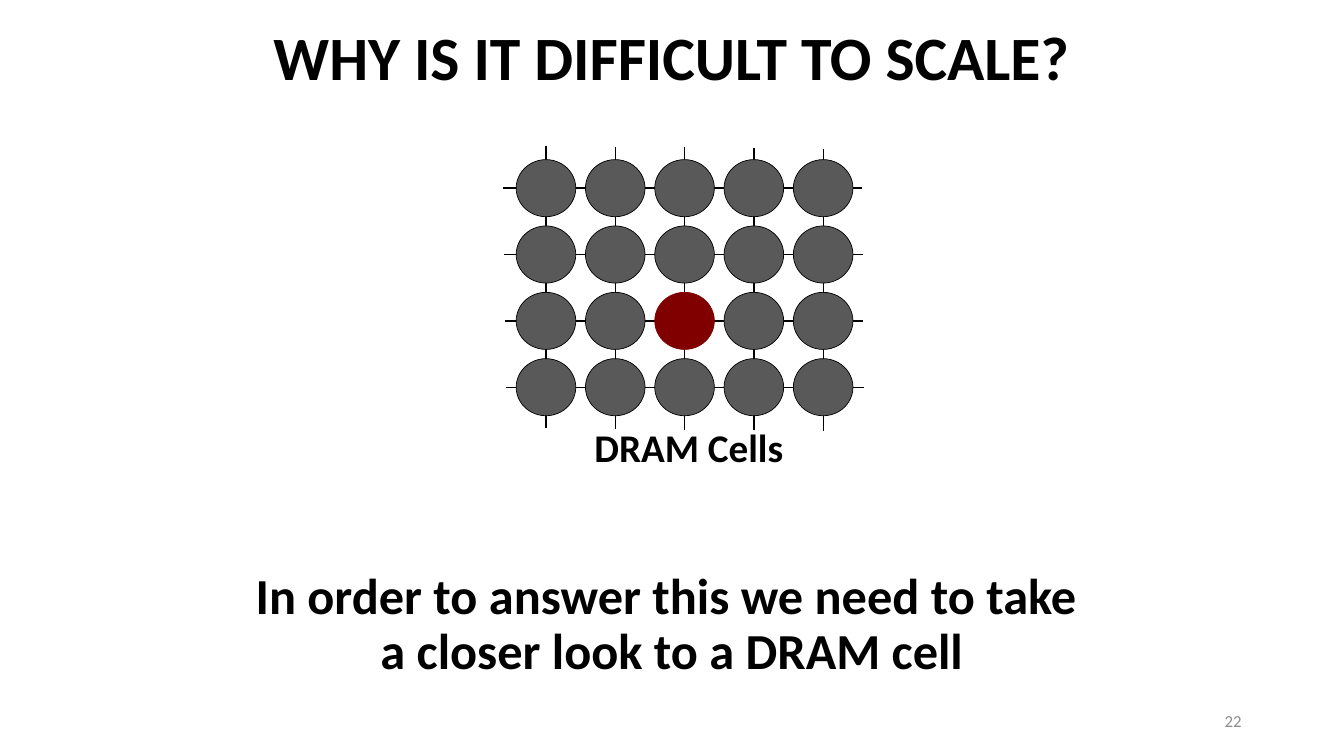
import dataclasses

import lxml.etree
import pptx
import pptx.dml.color
import pptx.enum.shapes
import pptx.enum.text
import pptx.oxml.ns
import pptx.util

# Slide grid: 160 columns by 90 rows
COLUMNS, ROWS = 160, 90
FONT = "Calibri"
BLACK, GREY, RED, NUMBER_GREY = "000000", "595959", "800000", "8C8C8C"
CENTER = pptx.enum.text.PP_ALIGN.CENTER
MIDDLE = pptx.enum.text.MSO_ANCHOR.MIDDLE

deck = pptx.Presentation()
deck.slide_width = pptx.util.Inches(13.33)
deck.slide_height = pptx.util.Inches(7.5)


@dataclasses.dataclass(frozen=True)
class Area:
    """A place on the slide, in grid columns and rows."""
    column: float
    row: float
    width: float
    height: float


@dataclasses.dataclass(frozen=True)
class Wire:
    """A straight line between two grid points."""
    start: tuple[float, float]
    end: tuple[float, float]


@dataclasses.dataclass(frozen=True)
class Cell:
    """A memory cell, given by its centre."""
    column: float
    row: float
    fill: str = GREY
    outline: str = BLACK


def across(columns: float) -> int:
    return round(deck.slide_width * columns / COLUMNS)


def down(rows: float) -> int:
    return round(deck.slide_height * rows / ROWS)


def color(value: str) -> pptx.dml.color.RGBColor:
    return pptx.dml.color.RGBColor.from_string(value)


def bounds(area: Area) -> tuple[int, int, int, int]:
    return across(area.column), down(area.row), across(area.width), down(area.height)


def write(box, text: str, *, size: float, bold: bool = True, ink: str = BLACK,
          align=CENTER, anchor=MIDDLE, wrap: bool = True,
          spacing: float = 1.0) -> None:
    frame = box.text_frame
    frame.auto_size = pptx.enum.text.MSO_AUTO_SIZE.NONE
    frame.word_wrap = wrap
    frame.vertical_anchor = anchor
    frame.text = text
    paragraph = frame.paragraphs[0]
    paragraph.alignment = align
    paragraph.line_spacing = spacing
    for run in paragraph.runs:
        run.font.name = FONT
        run.font.size = pptx.util.Pt(size)
        run.font.bold = bold
        run.font.color.rgb = color(ink)


def draw_wire(shapes, wire: Wire) -> None:
    line = shapes.add_connector(
        pptx.enum.shapes.MSO_CONNECTOR.STRAIGHT,
        across(wire.start[0]), down(wire.start[1]),
        across(wire.end[0]), down(wire.end[1]))
    line.line.color.rgb = color(BLACK)
    line.line.width = pptx.util.Pt(1)
    lxml.etree.SubElement(line._element.spPr, pptx.oxml.ns.qn("a:effectLst"))


def draw_cell(shapes, cell: Cell) -> None:
    width, height = 7.1, 6.8
    area = Area(cell.column - width / 2, cell.row - height / 2, width, height)
    circle = shapes.add_shape(pptx.enum.shapes.MSO_SHAPE.OVAL, *bounds(area))
    circle.shadow.inherit = False
    circle.fill.solid()
    circle.fill.fore_color.rgb = color(cell.fill)
    circle.line.color.rgb = color(cell.outline)
    circle.line.width = pptx.util.Pt(0.5)


def main() -> None:
    slide = deck.slides.add_slide(deck.slide_layouts[5])

    # Heading
    heading = slide.shapes.title
    heading.left, heading.top, heading.width, heading.height = bounds(
        Area(26, -0.8, 108, 15))
    write(heading, "WHY IS IT DIFFICULT TO SCALE?", size=44)

    # Cell array: wires behind, cells in front
    array = slide.shapes.add_group_shape().shapes
    bitlines = [65 + 8.25 * i for i in range(5)]
    wordlines = [22.4 + 7.9 * i for i in range(4)]
    for i, column in enumerate(bitlines):
        top = 17.4 + 0.08 * i
        draw_wire(array, Wire((column, top), (column, top + 33.6)))
    for i, row in enumerate(wordlines):
        left = 59.9 + 0.1 * i
        draw_wire(array, Wire((left, row), (left + 42.7, row)))

    weak = (bitlines[2], wordlines[2])
    for row in wordlines:
        for column in bitlines:
            if (column, row) == weak:
                draw_cell(array, Cell(column, row, RED, RED))
            else:
                draw_cell(array, Cell(column, row))

    # Caption under the array
    caption = array.add_textbox(*bounds(Area(69.4, 49.8, 25.2, 6.8)))
    write(caption, "DRAM Cells", size=28, wrap=False,
          anchor=pptx.enum.text.MSO_ANCHOR.TOP)

    # Closing statement
    statement = slide.shapes.add_textbox(*bounds(Area(0, 67, 160, 15)))
    write(statement, "In order to answer this we need to take \v"
          "a closer look to a DRAM cell", size=36, spacing=0.9)

    # Slide number
    number = slide.shapes.add_textbox(*bounds(Area(113, 83.4, 36, 4.8)))
    write(number, "22", size=12, bold=False, ink=NUMBER_GREY,
          align=pptx.enum.text.PP_ALIGN.RIGHT)

    deck.save("out.pptx")


if __name__ == "__main__":
    main()
